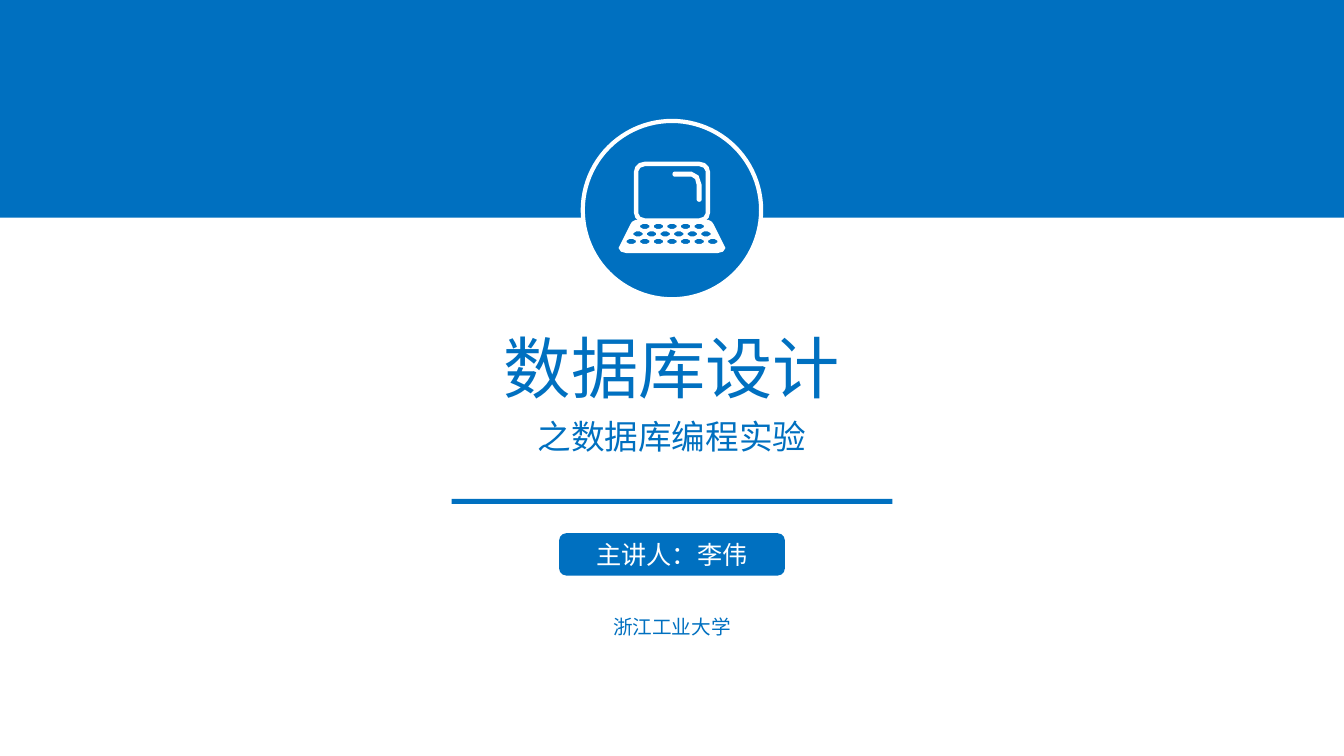
from pptx import Presentation
from pptx.dml.color import RGBColor
from pptx.enum.shapes import MSO_SHAPE
from pptx.enum.text import MSO_ANCHOR, MSO_AUTO_SIZE, PP_ALIGN
from pptx.oxml.xmlchemy import OxmlElement
from pptx.util import Pt

RECT, DISC, PILL = MSO_SHAPE.RECTANGLE, MSO_SHAPE.OVAL, MSO_SHAPE.ROUNDED_RECTANGLE
MIDDLE, GROW, CENTER = MSO_ANCHOR.MIDDLE, MSO_AUTO_SIZE.SHAPE_TO_FIT_TEXT, PP_ALIGN.CENTER
HUES = {"blue": "0070C0", "white": "FFFFFF"}
FONT = "Noto Sans CJK SC"
WIDE, HIGH = 960, 540


def hue(name):
    """Return the colour of a given name."""
    return RGBColor.from_string(HUES[name])


def paint(shape, fill):
    """Give a shape a plain fill without line or shadow."""
    shape.shadow.inherit = False
    shape.fill.solid()
    shape.fill.fore_color.rgb = hue(fill)
    shape.line.fill.background()


def block(slide, kind, box):
    """Add a plain blue preset shape in a box."""
    shape = slide.shapes.add_shape(kind, *map(Pt, box))
    paint(shape, "blue")
    return shape


def write(frame, text, size, color):
    """Set one centred line of text."""
    frame.word_wrap = True
    line = frame.paragraphs[0]
    line.text = text
    line.alignment = CENTER
    font = line.runs[0].font
    font.name, font.size = FONT, Pt(size)
    font.color.rgb = hue(color)
    east = OxmlElement("a:ea")
    east.set("typeface", FONT)
    line.runs[0]._r.get_or_add_rPr().append(east)


def label(slide, box, text, size):
    """Add a centred text box that grows with its text."""
    frame = slide.shapes.add_textbox(*map(Pt, box)).text_frame
    write(frame, text, size, "blue")
    frame.auto_size = GROW


def trace(curves, steps):
    """Return the points along cubic curves joined by straight lines."""
    dots = []
    for a, b, c, d in curves:
        for step in range(steps + 1):
            t = step / steps
            u = 1 - t
            dot = tuple(
                u**3 * p + 3 * u * u * t * q + 3 * u * t * t * r + t**3 * s
                for p, q, r, s in zip(a, b, c, d))
            if dot not in dots:
                dots.append(dot)
    return dots


def curved(x, y, w, h, rx, ry, steps):
    """Return the outline of a box with rounded corners."""
    r, b = x + w, y + h
    kx, ky = rx * 0.45, ry * 0.45
    return trace([
        ((x, y + ry), (x, y + ky), (x + kx, y), (x + rx, y)),
        ((r - rx, y), (r - kx, y), (r, y + ky), (r, y + ry)),
        ((r, b - ry), (r, b - ky), (r - kx, b), (r - rx, b)),
        ((x + rx, b), (x + kx, b), (x, b - ky), (x, b - ry))], steps)


def draw(group, left, top, rings):
    """Add one white outline, with any further rings cut out of it."""
    spots = [[(Pt(left + x), Pt(top + y)) for x, y in ring] for ring in rings]
    pen = group.shapes.build_freeform(*spots[0][0], scale=1.0)
    pen.add_line_segments(spots[0][1:], close=True)
    for ring in spots[1:]:
        pen.move_to(*ring[0])
        pen.add_line_segments(ring[1:], close=True)
    paint(pen.convert_to_shape(), "white")


def screen(group, mid, top):
    """Draw the laptop screen frame around its middle."""
    draw(group, mid, top, [curved(-27.2, 0, 54.4, 43.7, 7.6, 7.2, 3),
                           curved(-24, 3.2, 48, 37.3, 4.8, 3.6, 2)])


def board(group, mid, top):
    """Draw the laptop base with three centred rows of keys."""
    right = trace([((26, 0), (28.1, 0), (29.5, 2.9), (29.5, 2.9)),
                   ((38.2, 20.2), (38.2, 22.3), (35.3, 23.8), (32.4, 23.8))], 2)
    rings = [right + [(-x, y) for x, y in reversed(right)]]
    for row, count in enumerate((5, 6, 7)):
        for key in range(count):
            x = (key - (count - 1) / 2) * 9.7
            rings.append(curved(x - 3.3, 2.9 + 5.4 * row, 6.6, 3.6, 2, 1.2, 1))
    draw(group, mid, top, rings)


def glare(group, left, top):
    """Draw the bent highlight on the screen."""
    draw(group, left, top, [trace([
        ((13.7, 0), (17.3, 0), (20.9, 4.3), (20.9, 9.4)),
        ((20.9, 20.2), (20.9, 20.9), (20.2, 21.6), (19.1, 21.6)),
        ((19.1, 21.6), (18.3, 21.6), (17.3, 20.9), (17.3, 20.2)),
        ((17.3, 9.4), (17.3, 6.5), (15.8, 3.6), (13.7, 3.6)),
        ((1.5, 3.6), (0.7, 3.6), (0, 2.9), (0, 1.8)),
        ((0, 1.8), (0, 0.7), (0.7, 0), (1.5, 0))], 2)])


def badge(slide, x, y, size):
    """Draw the ringed disc and its laptop icon."""
    ring = block(slide, DISC, (x, y, size, size))
    ring.line.color.rgb = hue("white")
    ring.line.width = Pt(3)
    group = slide.shapes.add_group_shape()
    mid = x + size / 2
    screen(group, mid, y + 29.1)
    board(group, mid, y + 70.6)
    glare(group, mid + 0.3, y + 36.2)


def title(slide, x, y, w):
    """Place the title, subtitle, rule, speaker and school in a column."""
    mid = x + w / 2
    label(slide, (mid - 255.6, y, 511.2, 65.5), "数据库设计", 48)
    label(slide, (mid - 169.2, y + 64.1, 338.4, 36), "之数据库编程实验", 24)
    block(slide, RECT, (mid - 157.4, y + 126.7, 314.8, 3.6))
    pill = block(slide, PILL, (mid - 80.6, y + 151.2, 161.2, 30.2))
    write(pill.text_frame, "主讲人：李伟", 18, "white")
    pill.text_frame.vertical_anchor = MIDDLE
    label(slide, (mid - 240, y + 205.9, 480, 24.5), "浙江工业大学", 14)


def main():
    """Build the cover slide and save it."""
    deck = Presentation()
    deck.slide_width, deck.slide_height = Pt(WIDE), Pt(HIGH)
    slide = deck.slides.add_slide(deck.slide_layouts[6])
    block(slide, RECT, (0, 0, WIDE, 155.5))
    badge(slide, 416.3, 86.4, 127.4)
    title(slide, 0, 229.7, WIDE)
    deck.save("out.pptx")


if __name__ == "__main__":
    main()
